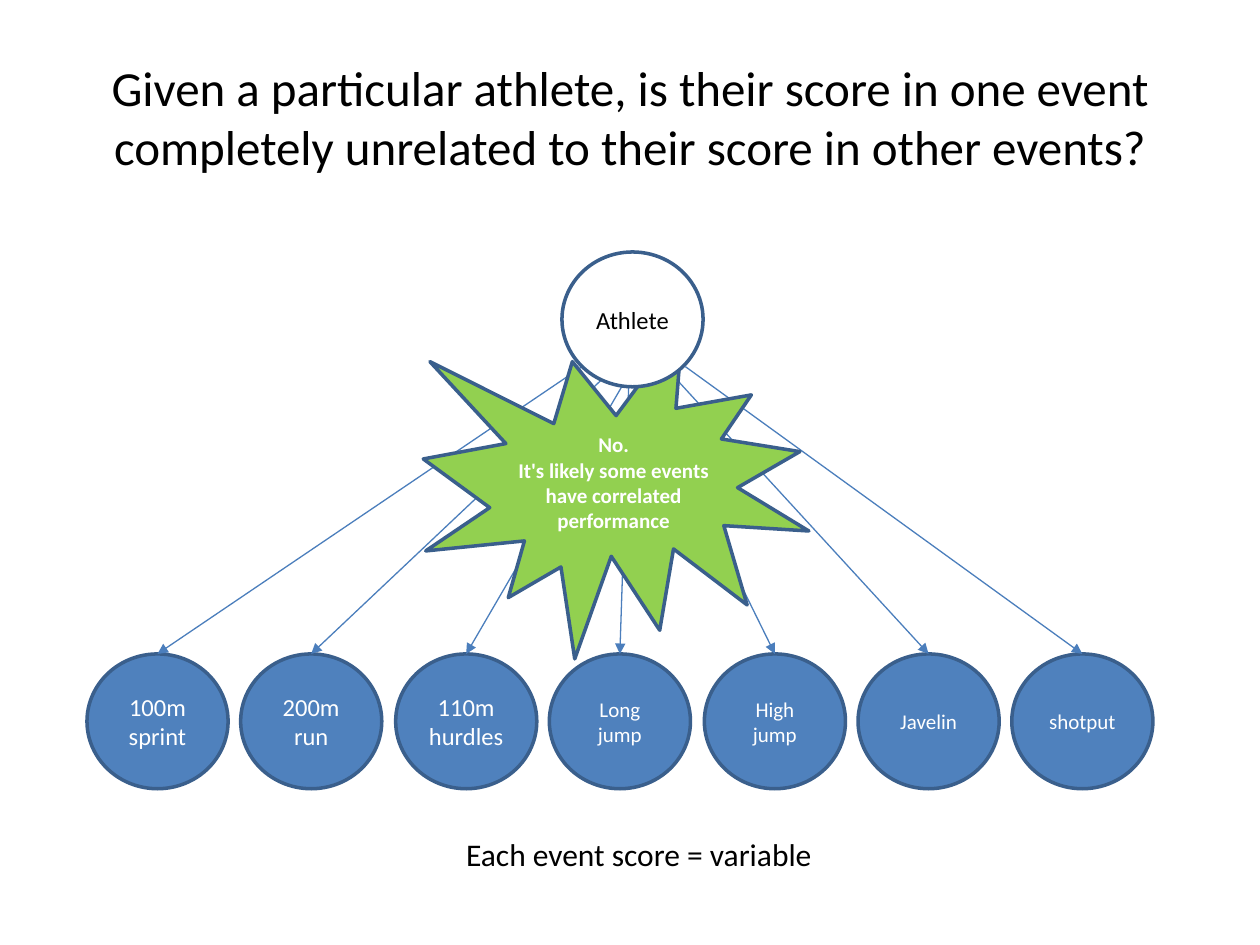
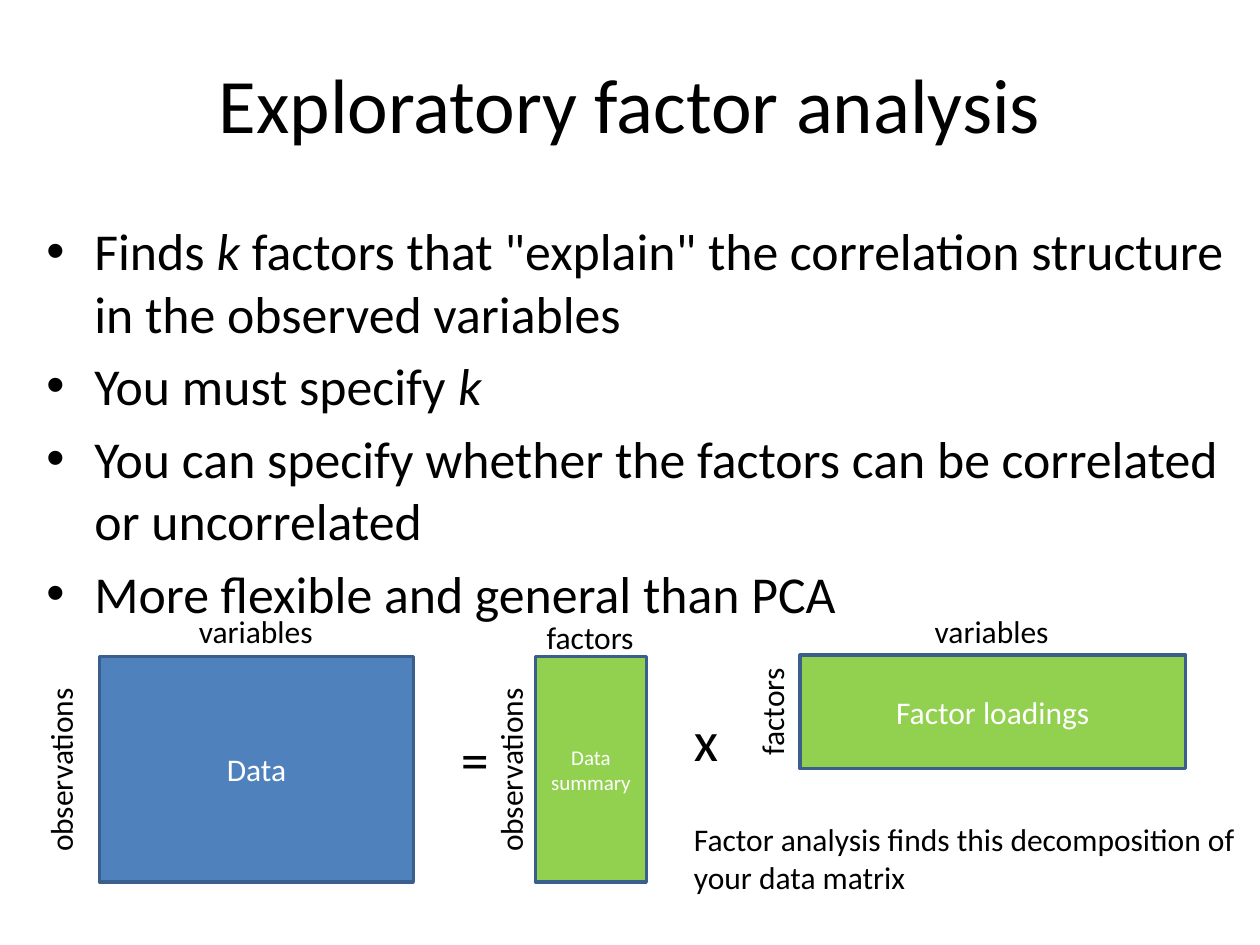
"""Build two slides on correlated event scores and exploratory factor analysis."""
from lxml import etree
from pptx import Presentation
from pptx.dml.color import RGBColor
from pptx.enum.shapes import MSO_CONNECTOR, MSO_SHAPE
from pptx.enum.text import MSO_ANCHOR, PP_ALIGN
from pptx.oxml.ns import qn
from pptx.util import Pt

PX = 9144
FONT = "Calibri"
BLACK = RGBColor(0x00, 0x00, 0x00)
WHITE = RGBColor(0xFF, 0xFF, 0xFF)
BLUE = RGBColor(0x4F, 0x81, 0xBD)
GREEN = RGBColor(0x92, 0xD0, 0x50)
OUTLINE = RGBColor(0x3A, 0x5F, 0x8C)
ARROW = RGBColor(0x4B, 0x7E, 0xBC)
OVAL = MSO_SHAPE.OVAL
RECTANGLE = MSO_SHAPE.RECTANGLE
BURST = MSO_SHAPE.EXPLOSION1
STRAIGHT = MSO_CONNECTOR.STRAIGHT
LEFT = PP_ALIGN.LEFT
CENTER = PP_ALIGN.CENTER
TOP = MSO_ANCHOR.TOP
MIDDLE = MSO_ANCHOR.MIDDLE


def add_text(slide, box, paragraphs, size, align=LEFT, anchor=TOP, wrap=False, rotation=0):
    """Add a text box; each paragraph is a list of (text, italic) runs."""
    shape = slide.shapes.add_textbox(*(value * PX for value in box))
    shape.rotation = rotation
    frame = shape.text_frame
    frame.word_wrap = wrap
    frame.vertical_anchor = anchor
    for index, runs in enumerate(paragraphs):
        paragraph = frame.add_paragraph() if index else frame.paragraphs[0]
        paragraph.alignment = align
        for text, italic in runs:
            run = paragraph.add_run()
            run.text = text
            run.font.name = FONT
            run.font.size = Pt(size)
            run.font.italic = italic
            run.font.color.rgb = BLACK
    return shape


def add_figure(slide, kind, box, lines, size, fill, color=WHITE, bold=False):
    """Add an outlined shape with centred text, one paragraph per line."""
    shape = slide.shapes.add_shape(kind, *(value * PX for value in box))
    shape.shadow.inherit = False
    shape.fill.solid()
    shape.fill.fore_color.rgb = fill
    shape.line.color.rgb = OUTLINE
    shape.line.width = Pt(2)
    frame = shape.text_frame
    frame.word_wrap = True
    frame.vertical_anchor = MIDDLE
    for index, line in enumerate(lines):
        paragraph = frame.add_paragraph() if index else frame.paragraphs[0]
        paragraph.alignment = CENTER
        run = paragraph.add_run()
        run.text = line
        run.font.name = FONT
        run.font.size = Pt(size)
        run.font.bold = bold
        run.font.color.rgb = color
    return shape


presentation = Presentation()
presentation.slide_width = 1000 * PX
presentation.slide_height = 750 * PX
blank = presentation.slide_layouts[6]

titles = [
    ("Given a particular athlete, is their score in one event completely unrelated "
     "to their score in other events?", 28, 30),
    ("Exploratory factor analysis", 44, 19),
]
slides = []
for title, size, top in titles:
    slide = presentation.slides.add_slide(blank)
    add_text(slide, (50, top, 900, 125), [[(title, False)]], size, CENTER, MIDDLE, True)
    slides.append(slide)
events_slide, factors_slide = slides

events = [
    (["100m", "sprint"], 14, (462, 291)),
    (["200m", "run"], 14, (480, 299)),
    (["110m hurdles"], 14, (494, 306)),
    (["Long jump"], 12, (499, 306)),
    (["High jump"], 12, (510, 306)),
    (["Javelin"], 12, (535, 299)),
    (["shotput"], 12, (544, 291)),
]
for index, (lines, size, (start_x, start_y)) in enumerate(events):
    left = round(69 + 122.4 * index)
    event = add_figure(events_slide, OVAL, (left, 519, 112, 107), lines, size, BLUE)
    arrow = events_slide.shapes.add_connector(
        STRAIGHT, start_x * PX, start_y * PX, (left + 56) * PX, 519 * PX)
    arrow.end_connect(event, 0)
    arrow.line.color.rgb = ARROW
    arrow.line.width = Pt(0.75)
    etree.SubElement(arrow.line._get_or_add_ln(), qn("a:tailEnd"), type="triangle")
    etree.SubElement(arrow._element.spPr, qn("a:effectLst"))

add_text(events_slide, (360, 658, 298, 40), [[("Each event score = variable", False)]], 18)
add_figure(events_slide, BURST, (336, 259, 306, 264),
           ["No.", "It's likely some events have correlated performance"], 12, GREEN, bold=True)
add_figure(events_slide, OVAL, (446, 200, 112, 107), ["Athlete"], 14, WHITE, BLACK)

points = [
    [("Finds ", False), ("k ", True),
     ('factors that "explain" the correlation structure in the observed variables', False)],
    [("You must specify ", False), ("k", True)],
    [("You can specify whether the factors can be correlated or uncorrelated", False)],
    [("More flexible and general than PCA", False)],
]
body = add_text(factors_slide, (27, 169, 968, 300), points, 29.6, wrap=True)
for paragraph in body.text_frame.paragraphs:
    paragraph.space_before = Pt(6)
    properties = paragraph._p.get_or_add_pPr()
    properties.set("marL", str(38 * PX))
    properties.set("indent", str(-38 * PX))
    etree.SubElement(properties, qn("a:buFont"), typeface="Arial")
    etree.SubElement(properties, qn("a:buChar"), char="•")

matrices = [
    ((79, 521, 249, 179), ["Data"], 18, BLUE),
    ((425, 521, 88, 179), ["Data", "summary"], 12, GREEN),
    ((635, 520, 306, 90), ["Factor loadings"], 18, GREEN),
]
for box, lines, size, fill in matrices:
    add_figure(factors_slide, RECTANGLE, box, lines, size, fill)

labels = [
    ((356, 570, 43, 64), "=", 32, 0),
    ((541, 555, 40, 64), "x", 32, 0),
    ((148, 481, 112, 40), "variables", 18, 0),
    ((732, 481, 112, 40), "variables", 18, 0),
    ((424, 486, 90, 40), "factors", 18, 0),
    ((-28, 590, 152, 40), "observations", 18, 270),
    ((329, 590, 152, 40), "observations", 18, 270),
    ((556, 533, 113, 40), "factors", 18, 270),
]
for box, text, size, rotation in labels:
    add_text(factors_slide, box, [[(text, False)]], size, rotation=rotation)

add_text(factors_slide, (541, 646, 454, 71),
         [[("Factor analysis finds this decomposition of", False)],
          [("your data matrix", False)]], 18)

presentation.save("out.pptx")
